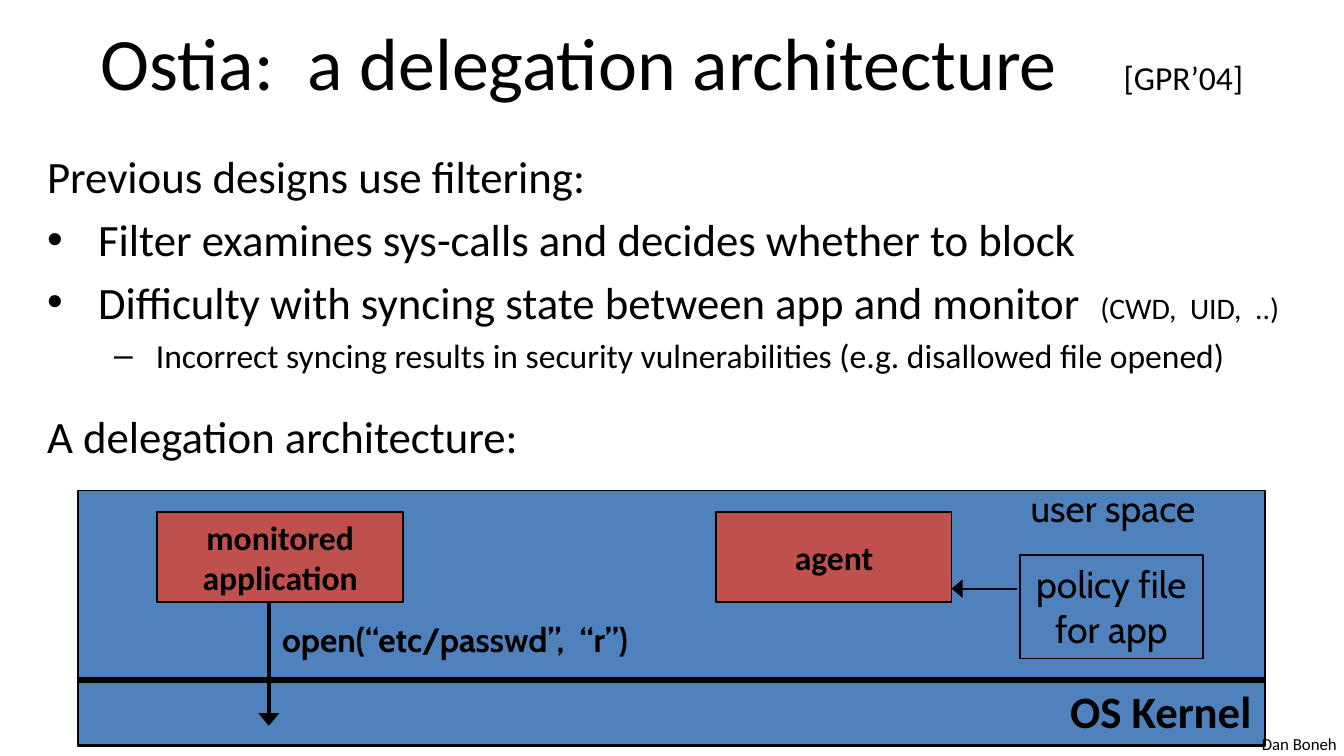
from lxml import etree
from pptx import Presentation
from pptx.dml.color import RGBColor
from pptx.enum.shapes import MSO_CONNECTOR, MSO_SHAPE
from pptx.enum.text import MSO_ANCHOR, MSO_AUTO_SIZE, PP_ALIGN
from pptx.oxml.ns import qn
from pptx.util import Inches, Pt

LEFT, CENTER, RIGHT = PP_ALIGN.LEFT, PP_ALIGN.CENTER, PP_ALIGN.RIGHT
TOP, MIDDLE, BOTTOM = MSO_ANCHOR.TOP, MSO_ANCHOR.MIDDLE, MSO_ANCHOR.BOTTOM
COLORS = {"ink": "000000", "space": "4F81BD", "process": "C0504D"}
MAIN, LABEL = "Calibri", "Cabin"
PAGE_WIDTH = 10
PAGE_HEIGHT = PAGE_WIDTH * 9 / 16

# Spans are (text, size)
TITLE = [("Ostia:  a delegation architecture\t", 39.6), ("[GPR’04]", 18)]
CITATION_TAB = 7.61

# (spans, bullet, left margin, hanging indent, space before)
BODY = [
    ([("Previous designs use filtering:", 24)], None, 0, 0, 0),
    ([("Filter examines sys-calls and decides whether to block", 24)],
     "•", 0.38, 0.38, 4.8),
    ([("Difficulty with syncing state between app and monitor  ", 24),
      ("(CWD,  UID,  ..)", 16)], "•", 0.38, 0.38, 4.8),
    ([("Incorrect syncing results in security vulnerabilities "
       "(e.g. disallowed file opened)", 18)], "–", 0.81, 0.31, 3.6),
    ([("A delegation architecture:", 24)], None, 0, 0, 17.8),
]

# (text, place, fill, size, font, bold, alignment, anchor)
BLOCKS = [
    ("", (0.58, 3.65, 8.83, 1.9), "space", 18, MAIN, False, CENTER, MIDDLE),
    ("OS Kernel", (0.58, 5.06, 8.83, 0.48), "space", 24, MAIN, True, RIGHT, BOTTOM),
    ("monitored\napplication", (1.17, 3.81, 1.83, 0.67), "process", 18, MAIN, True,
     CENTER, MIDDLE),
    ("agent", (5.33, 3.81, 1.75, 0.67), "process", 18, MAIN, True, CENTER, MIDDLE),
    ("policy file\nfor app", (7.59, 4.13, 1.36, 0.77), None, 20, LABEL, False,
     CENTER, TOP),
]

# (text, place, size, font, bold)
LABELS = [
    ("user space", (7.57, 3.56, 1.52, 0.44), 20, LABEL, False),
    ("open(“etc/passwd”,  “r”)", (2, 4.56, 3.39, 0.4), 18, LABEL, True),
    ("Dan Boneh", (9.29, 5.41, 0.76, 0.25), 9, MAIN, False),
]

# (start, end, width, has arrowhead)
LINES = [
    ((0.58, 5.06), (9.42, 5.06), 3, False),
    ((7.57, 4.38), (7.08, 4.38), 1, True),
    ((2, 4.48), (2, 5.4), 2.25, True),
]


def color(name):
    return RGBColor.from_string(COLORS[name])


def format_font(font, size, face, bold=False):
    font.size, font.name, font.bold = Pt(size), face, bold
    font.color.rgb = color("ink")


def add_spans(para, spans):
    for text, size in spans:
        span = para.add_run()
        span.text = text
        format_font(span.font, size, MAIN)


def place_placeholder(box, place, anchor):
    box.left, box.top, box.width, box.height = map(Inches, place)
    box.text_frame.auto_size = MSO_AUTO_SIZE.NONE
    box.text_frame.word_wrap = True
    box.text_frame.vertical_anchor = anchor


def fill_title(box):
    place_placeholder(box, (0.5, -0.02, 9, 0.94), MIDDLE)
    box.text_frame.margin_left = Inches(0.25)
    para = box.text_frame.paragraphs[0]
    para.alignment = LEFT
    tabs = etree.SubElement(para._p.get_or_add_pPr(), qn("a:tabLst"))
    etree.SubElement(tabs, qn("a:tab"), pos=str(Inches(CITATION_TAB)), algn="l")
    add_spans(para, TITLE)


def fill_body(box):
    place_placeholder(box, (0.25, 1.06, 9.58, 4.56), TOP)
    frame = box.text_frame
    for index, (spans, bullet, margin, hanging, before) in enumerate(BODY):
        para = frame.add_paragraph() if index else frame.paragraphs[0]
        para.level = 1 if bullet == "–" else 0
        properties = para._p.get_or_add_pPr()
        properties.set("marL", str(Inches(margin)))
        properties.set("indent", str(-Inches(hanging)))
        if bullet:
            etree.SubElement(properties, qn("a:buChar"), char=bullet)
        else:
            etree.SubElement(properties, qn("a:buNone"))
        para.space_before = Pt(before)
        add_spans(para, spans)


def write_text(box, text, size, face, bold, alignment, anchor):
    frame = box.text_frame
    frame.text = text
    frame.word_wrap = False
    frame.vertical_anchor = anchor
    for para in frame.paragraphs:
        para.alignment = alignment
        for span in para.runs:
            format_font(span.font, size, face, bold)


def add_block(page, text, place, fill, *style):
    box = page.shapes.add_shape(MSO_SHAPE.RECTANGLE, *map(Inches, place))
    box.shadow.inherit = False
    if fill:
        box.fill.solid()
        box.fill.fore_color.rgb = color(fill)
    else:
        box.fill.background()
    box.line.color.rgb = color("ink")
    box.line.width = Pt(1)
    if text:
        write_text(box, text, *style)


def add_line(page, start, end, width, arrow):
    line = page.shapes.add_connector(
        MSO_CONNECTOR.STRAIGHT, *map(Inches, start + end))
    line.line.color.rgb = color("ink")
    line.line.width = Pt(width)
    if arrow:
        etree.SubElement(line.line._get_or_add_ln(), qn("a:tailEnd"),
                         type="triangle", w="lg", len="med")
    etree.SubElement(line._element.spPr, qn("a:effectLst"))


def main():
    deck = Presentation()
    deck.slide_width, deck.slide_height = Inches(PAGE_WIDTH), Inches(PAGE_HEIGHT)
    page = deck.slides.add_slide(deck.slide_layouts[1])
    fill_title(page.shapes.title)
    fill_body(page.placeholders[1])
    for block in BLOCKS:
        add_block(page, *block)
    for line in LINES:
        add_line(page, *line)
    for text, place, size, face, bold in LABELS:
        box = page.shapes.add_textbox(*map(Inches, place))
        write_text(box, text, size, face, bold, LEFT, TOP)
    deck.save("out.pptx")


if __name__ == "__main__":
    main()
